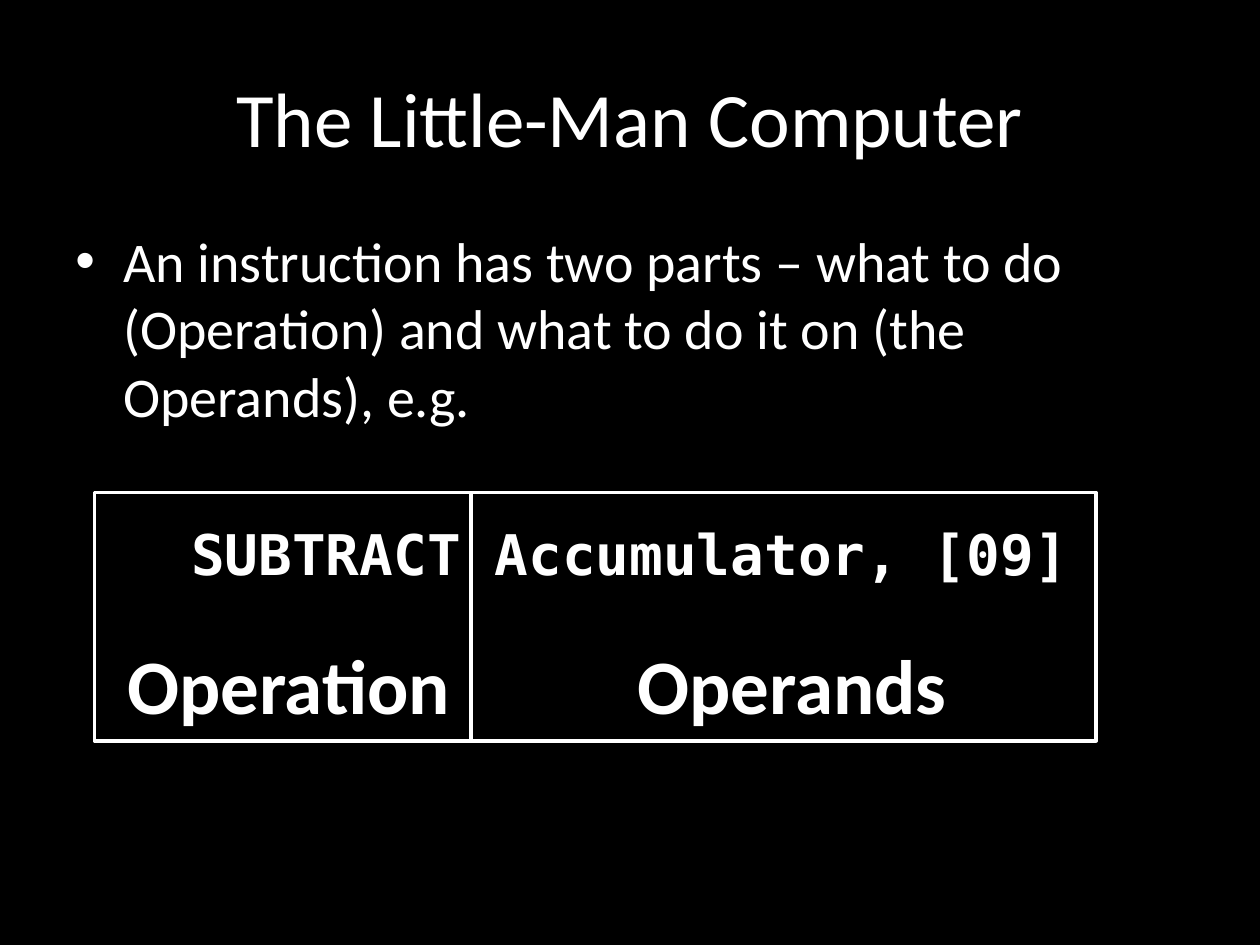
from dataclasses import dataclass, field

from lxml.etree import SubElement
from pptx import Presentation
from pptx.dml.color import RGBColor
from pptx.enum.shapes import MSO_SHAPE
from pptx.enum.text import MSO_ANCHOR, PP_ALIGN
from pptx.oxml.ns import qn
from pptx.util import Inches, Pt

WHITE, BLACK = "FFFFFF", "000000"
CELL_TOP, CELL_HEIGHT = 3.91, 1.97


@dataclass
class Line:
    text: str
    font: dict
    layout: dict = field(default_factory=dict)
    bullet: bool = False


@dataclass
class TextArea:
    left: float
    top: float
    width: float
    height: float
    lines: list[Line]
    frame: dict


@dataclass
class Cell:
    left: float
    width: float


def rgb(color: str) -> RGBColor:
    return RGBColor.from_string(color)


def apply(target, values: dict) -> None:
    for name, value in values.items():
        setattr(target, name, value)


def add_bullet(paragraph) -> None:
    properties = paragraph._p.get_or_add_pPr()
    properties.set("marL", str(Inches(0.38)))
    properties.set("indent", str(Inches(-0.38)))
    SubElement(properties, qn("a:buFont")).set("typeface", "Arial")
    SubElement(properties, qn("a:buChar")).set("char", "•")


def draw_text(slide, area: TextArea) -> None:
    box = slide.shapes.add_textbox(Inches(area.left), Inches(area.top),
                                   Inches(area.width), Inches(area.height))
    frame = box.text_frame
    apply(frame, area.frame)
    for index, line in enumerate(area.lines):
        paragraph = frame.add_paragraph() if index else frame.paragraphs[0]
        apply(paragraph, line.layout)
        if line.bullet:
            add_bullet(paragraph)
        run = paragraph.add_run()
        run.text = line.text
        apply(run.font, line.font)
        run.font.color.rgb = rgb(WHITE)


def draw_cell(slide, cell: Cell) -> None:
    outline = slide.shapes.add_shape(MSO_SHAPE.RECTANGLE, Inches(cell.left), Inches(CELL_TOP),
                                     Inches(cell.width), Inches(CELL_HEIGHT))
    outline.shadow.inherit = False
    outline.fill.background()
    outline.line.color.rgb = rgb(WHITE)
    outline.line.width = Pt(2)


# Text formats
HEADING = {"name": "Calibri", "size": Pt(44)}
BODY = {"name": "Calibri", "size": Pt(32)}
CODE = {"name": "DejaVu Sans Mono", "size": Pt(32), "bold": True}
LABEL = HEADING | {"bold": True}
CENTERED = {"alignment": PP_ALIGN.CENTER}

# Slide content
title = TextArea(0.5, 0.3, 9, 1.25, [Line("The Little-Man Computer", HEADING, CENTERED)],
                 {"word_wrap": True, "vertical_anchor": MSO_ANCHOR.MIDDLE})
explanation = TextArea(0.5, 1.75, 9, 4.95, [
    Line("An instruction has two parts – what to do (Operation) and what to do it on "
         "(the Operands), e.g.", BODY, bullet=True),
    Line("SUBTRACT Accumulator, [09]", CODE, CENTERED | {"space_before": Pt(52)}),
], {"word_wrap": True})
operands = TextArea(4.96, 5.01, 2.68, 0.84, [Line("Operands", LABEL)], {"word_wrap": False})
operation = TextArea(0.91, 5.01, 2.79, 0.84, [Line("Operation", LABEL)], {"word_wrap": False})

operation_cell = Cell(0.75, 2.99)
operands_cell = Cell(operation_cell.left + operation_cell.width, 4.96)

# Slide
presentation = Presentation()
presentation.slide_width, presentation.slide_height = Inches(10), Inches(7.5)
slide = presentation.slides.add_slide(presentation.slide_layouts[6])
slide.background.fill.solid()
slide.background.fill.fore_color.rgb = rgb(BLACK)

for area in (title, explanation, operands, operation):
    draw_text(slide, area)
for cell in (operands_cell, operation_cell):
    draw_cell(slide, cell)

presentation.save("out.pptx")
